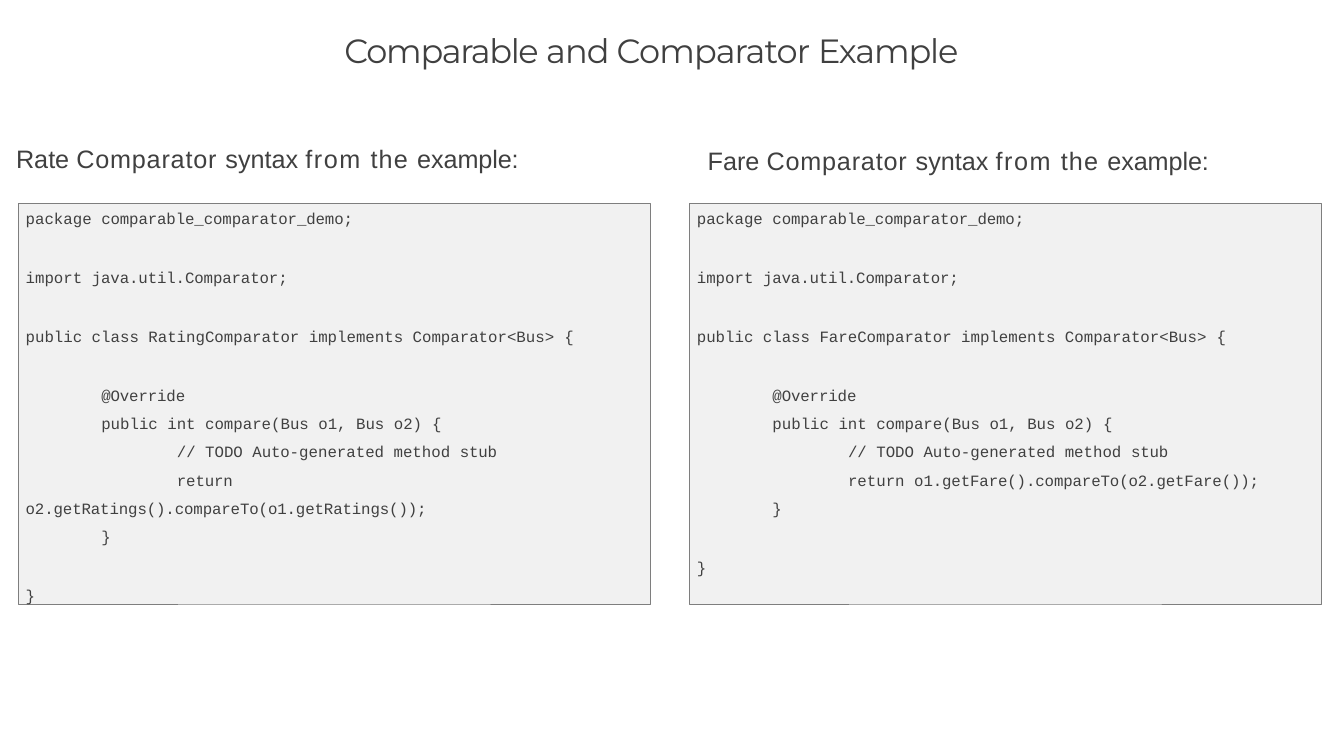
"""Build the slide that compares the rating and fare comparators."""
import pptx
import pptx.dml.color
import pptx.enum.shapes
import pptx.enum.text
import pptx.util

Pt = pptx.util.Pt


def color(value):
    return pptx.dml.color.RGBColor.from_string(value)


class SlideBuilder:
    text_color = "404040"
    panel_fill = "F1F1F1"
    panel_line = "7E7E7E"
    tab = 72

    def __init__(self, slide):
        self.slide = slide

    def prepare(self, shape, inset_top):
        frame = shape.text_frame
        frame.word_wrap = True
        frame.auto_size = pptx.enum.text.MSO_AUTO_SIZE.NONE
        frame.vertical_anchor = pptx.enum.text.MSO_ANCHOR.TOP
        frame.margin_left = frame.margin_right = frame.margin_bottom = 0
        frame.margin_top = Pt(inset_top)
        return frame

    def add_runs(self, paragraph, runs, font, size, space_before, indent=0):
        paragraph.alignment = pptx.enum.text.PP_ALIGN.LEFT
        paragraph.space_before = Pt(space_before)
        properties = paragraph._p.get_or_add_pPr()
        properties.set("marL", str(Pt(indent)))
        properties.set("indent", "0")
        for text, spacing in runs:
            run = paragraph.add_run()
            run.text = text
            run.font.name = font
            run.font.size = Pt(size)
            run.font.color.rgb = color(self.text_color)
            run._r.get_or_add_rPr().set("spc", str(round(spacing * 100)))

    def title(self, left, top, width, height, runs):
        shape = self.slide.shapes.title
        shape.left, shape.top = Pt(left), Pt(top)
        shape.width, shape.height = Pt(width), Pt(height)
        frame = self.prepare(shape, 0.9)
        self.add_runs(frame.paragraphs[0], runs, "Montserrat", 32, 1.1, 1.2)

    def heading(self, left, top, width, height, runs):
        shape = self.slide.shapes.add_textbox(Pt(left), Pt(top), Pt(width), Pt(height))
        frame = self.prepare(shape, 0.9)
        self.add_runs(frame.paragraphs[0], runs, "Arial", 24, 1, 0.9)

    def code_panel(self, left, top, width, height, lines):
        shape = self.slide.shapes.add_shape(
            pptx.enum.shapes.MSO_SHAPE.RECTANGLE, Pt(left), Pt(top), Pt(width), Pt(height))
        shape.shadow.inherit = False
        shape.fill.solid()
        shape.fill.fore_color.rgb = color(self.panel_fill)
        shape.line.color.rgb = color(self.panel_line)
        shape.line.width = Pt(0.72)
        frame = self.prepare(shape, 5)
        for index, (level, space_before, runs) in enumerate(lines):
            paragraph = frame.add_paragraph() if index else frame.paragraphs[0]
            self.add_runs(paragraph, runs, "Courier New", 15, space_before, 7.2 + level * self.tab)


def heading_runs(subject):
    return [(subject, 0), ("Comparator ", 0.8), ("syntax ", 0),
            ("from ", 1.5), ("the ", 1.1), ("example:", -0.1)]


def code_lines(class_name, return_lines):
    step, section = 9, 38.1
    return [
        (0, 5.1, [("package ", 0), ("comparable_comparator_demo;", -0.1)]),
        (0, section, [("import ", 0), ("java.util.Comparator;", -0.1)]),
        (0, section, [(f"public class {class_name} implements Comparator<Bus> ", 0), ("{", -0.5)]),
        (1, section, [("@Override", -0.1)]),
        (1, step, [("public int compare(Bus o1, Bus o2) ", 0), ("{", -0.5)]),
        (2, step, [("// TODO ", 0), ("Auto-", -0.1), ("generated method ", 0), ("stub", -0.2)]),
        *[(level, step, runs) for level, runs in return_lines],
        (1, step, [("}", -0.5)]),
        (0, section, [("}", -0.5)]),
    ]


def main():
    presentation = pptx.Presentation()
    presentation.slide_width, presentation.slide_height = Pt(1280.16), Pt(720)
    slide = presentation.slides.add_slide(presentation.slide_layouts[5])
    builder = SlideBuilder(slide)
    builder.title(326.9, 27.4, 627.1, 46.8,
                  [("Comparable ", -1.3), ("and Comparator ", -0.9), ("Example", -1.1)])

    rating_return = [(2, [("return", -0.1)]),
                     (0, [("o2.getRatings().compareTo(o1.getRatings());", -0.1)])]
    fare_return = [(2, [("return ", 0), ("o1.getFare().compareTo(o2.getFare());", -0.1)])]
    columns = [
        (17.3, 14.4, 135.4, "Rate ", "RatingComparator", rating_return),
        (656.6, 673.2, 137.5, "Fare ", "FareComparator", fare_return),
    ]
    for panel_left, heading_left, heading_top, subject, class_name, return_lines in columns:
        builder.code_panel(panel_left, 193.7, 601.9, 381.6, code_lines(class_name, return_lines))
        builder.heading(heading_left, heading_top, 484, 31, heading_runs(subject))
    presentation.save("out.pptx")


if __name__ == "__main__":
    main()
